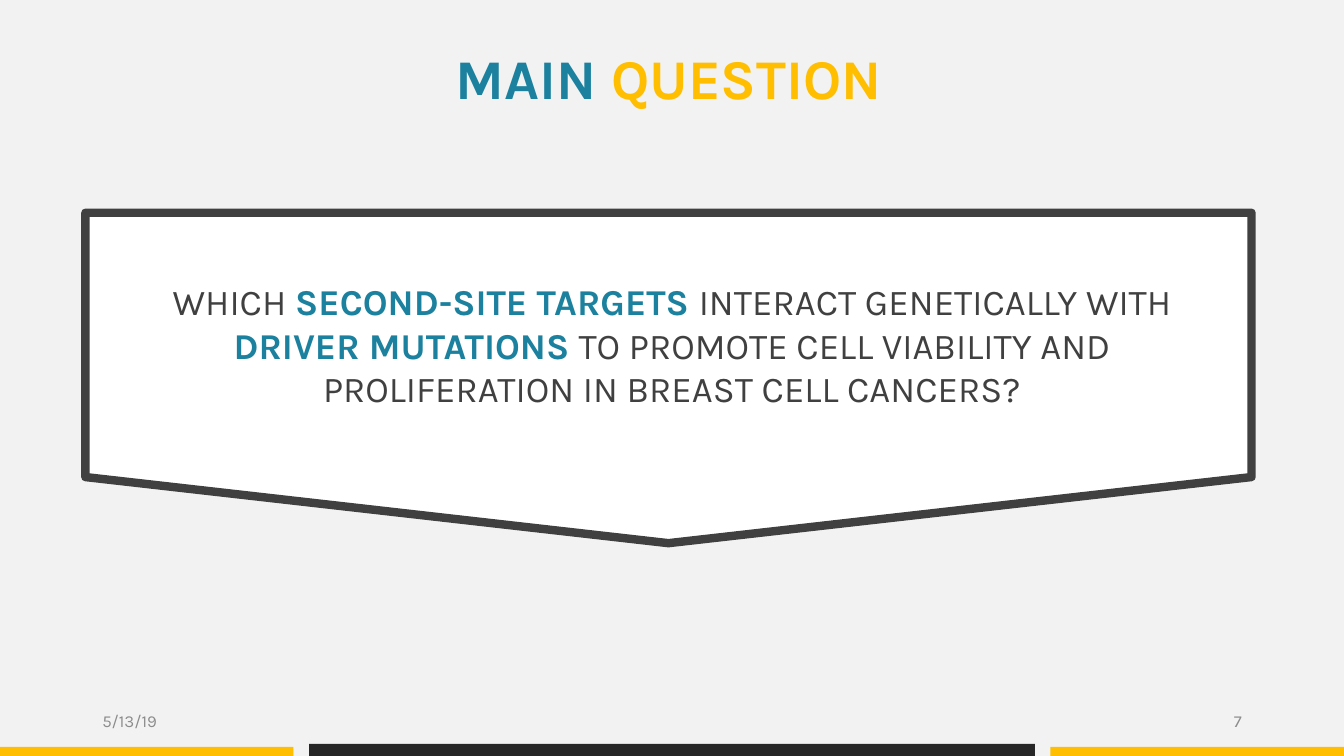
from dataclasses import dataclass

from pptx import Presentation
from pptx.dml.color import RGBColor
from pptx.enum.shapes import MSO_SHAPE as Shape
from pptx.enum.text import MSO_ANCHOR as Anchor, MSO_AUTO_SIZE as AutoSize, PP_ALIGN as Align
from pptx.util import Pt


@dataclass(frozen=True)
class Theme:
    font: str = "Karla"
    background: str = "F2F2F2"
    panel: str = "FFFFFF"
    dark: str = "404040"
    black: str = "262626"
    teal: str = "1C819E"
    yellow: str = "FFBE00"
    grey: str = "8C8C8C"
    title_size: int = 40
    question_size: int = 26
    footer_size: int = 12


class SlideBuilder:
    def __init__(self, slide, theme):
        self.slide = slide
        self.theme = theme

    def background(self, color):
        fill = self.slide.background.fill
        fill.solid()
        fill.fore_color.rgb = RGBColor.from_string(color)

    def shape(self, kind, box, color, outline=None, width=0):
        shape = self.slide.shapes.add_shape(kind, *map(Pt, box))
        shape.shadow.inherit = False
        shape.fill.solid()
        shape.fill.fore_color.rgb = RGBColor.from_string(color)
        if outline:
            shape.line.color.rgb = RGBColor.from_string(outline)
            shape.line.width = Pt(width)
        else:
            shape.line.fill.background()

    def text(self, box, pieces, size, align):
        frame = self.slide.shapes.add_textbox(*map(Pt, box)).text_frame
        frame.word_wrap = True
        paragraph = frame.paragraphs[0]
        paragraph.alignment = align
        for words, color, bold in pieces:
            run = paragraph.add_run()
            run.text = words
            run.font.name = self.theme.font
            run.font.size = Pt(size)
            run.font.bold = bold
            run.font.color.rgb = RGBColor.from_string(color)
        return frame

    def heading(self, box, pieces, size):
        frame = self.text(box, pieces, size, Align.CENTER)
        frame.margin_left = frame.margin_right = frame.margin_top = frame.margin_bottom = 0
        frame.auto_size = AutoSize.SHAPE_TO_FIT_TEXT

    def footer(self, left, words, align):
        pieces = [(words, self.theme.grey, False)]
        frame = self.text((left, 500.4, 216, 28.8), pieces, self.theme.footer_size, align)
        frame.vertical_anchor = Anchor.MIDDLE


def main():
    width, height = 960, 540
    deck = Presentation()
    deck.slide_width, deck.slide_height = Pt(width), Pt(height)
    theme = Theme()
    page = SlideBuilder(deck.slides.add_slide(deck.slide_layouts[6]), theme)
    page.background(theme.background)

    side, middle = 209.6, 518.4
    gap = (width - 2 * side - middle) / 2
    left = 0
    for bar_width, thickness, color in (
        (side, 6.5, theme.yellow),
        (middle, 8.6, theme.black),
        (side, 6.5, theme.yellow),
    ):
        page.shape(Shape.RECTANGLE, (left, height - thickness, bar_width, thickness), color)
        left += bar_width + gap

    page.footer(66, "5/13/19", Align.LEFT)
    page.footer(678, "7", Align.RIGHT)

    page.shape(Shape.FLOWCHART_OFFPAGE_CONNECTOR, (61, 152, 833, 236), theme.panel, theme.dark, 6)
    page.heading(
        (82.8, 199.4, 794.9, 94.5),
        [
            ("WHICH ", theme.dark, False),
            ("SECOND-SITE TARGETS ", theme.teal, True),
            ("INTERACT GENETICALLY WITH ", theme.dark, False),
            ("DRIVER MUTATIONS", theme.teal, True),
            (" TO PROMOTE CELL VIABILITY AND PROLIFERATION IN BREAST CELL CANCERS?", theme.dark, False),
        ],
        theme.question_size,
    )
    page.heading(
        (54, 31, 847.4, 48.2),
        [("MAIN", theme.teal, True), (" QUESTION", theme.yellow, True)],
        theme.title_size,
    )

    deck.save("out.pptx")


if __name__ == "__main__":
    main()
